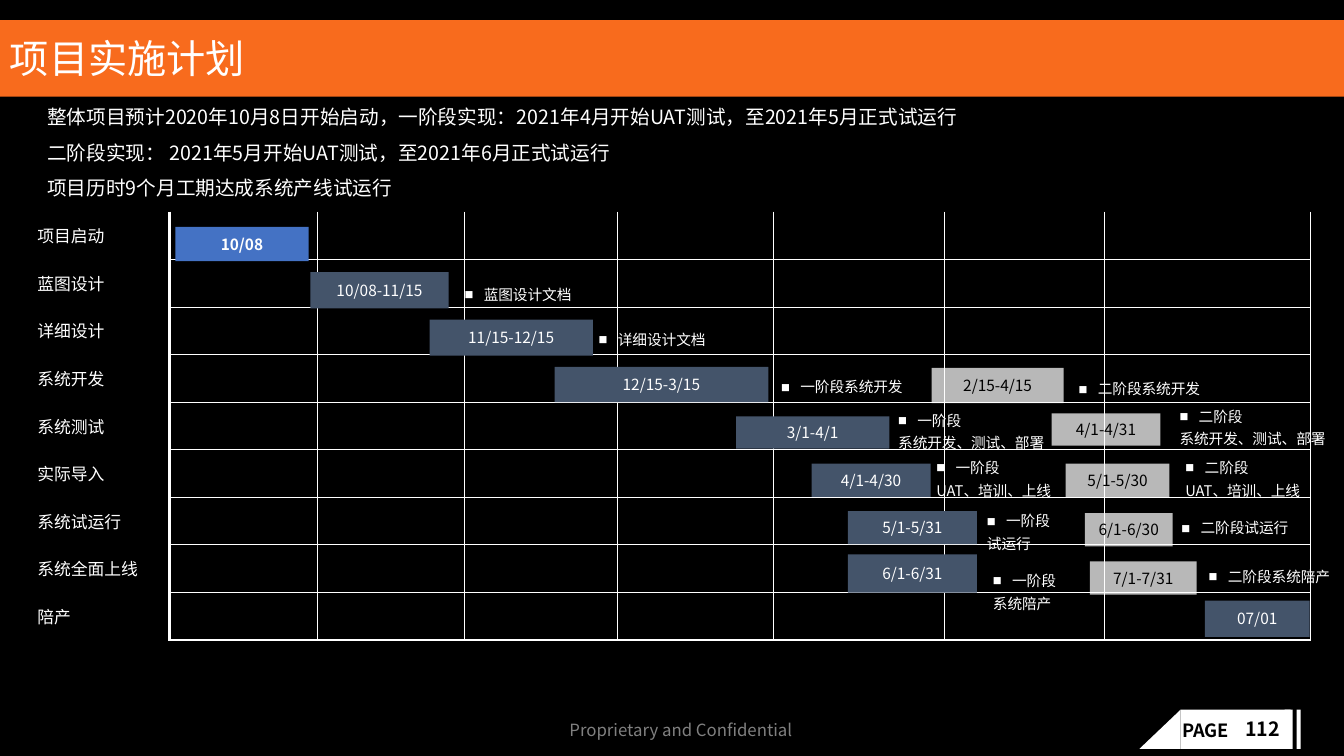
from lxml.etree import SubElement
from pptx import Presentation
from pptx.dml.color import RGBColor
from pptx.enum.shapes import MSO_SHAPE
from pptx.enum.text import MSO_ANCHOR, PP_ALIGN
from pptx.oxml.ns import qn
from pptx.util import Inches, Pt

FONT = "Noto Sans CJK SC"
COLORS = {"black": "000000", "white": "FFFFFF", "orange": "F86B1D",
          "blue": "4472C4", "slate": "44546A", "gray": "808080"}

prs = Presentation()
prs.slide_width, prs.slide_height = Inches(13.33), Inches(7.5)
unit = prs.slide_height // 750
s = prs.slides.add_slide(prs.slide_layouts[6])
s.background.fill.solid()
s.background.fill.fore_color.rgb = RGBColor.from_string(COLORS["black"])


def box(parent, place, fill=None, kind=MSO_SHAPE.RECTANGLE):
    x, y, w, h = (n * unit for n in place)
    if fill is None:
        return parent.add_textbox(x, y, w, h)
    sp = parent.add_shape(kind, x, y, w, h)
    sp.shadow.inherit = False
    sp.fill.solid()
    sp.fill.fore_color.rgb = RGBColor.from_string(COLORS[fill])
    sp.line.fill.background()
    return sp


def write(tf, lines, size, color, bold=False, spacing=1.0, align=PP_ALIGN.LEFT,
          bullet=False, wrap=True):
    tf.word_wrap = wrap
    for i, line in enumerate(lines):
        p = tf.paragraphs[0] if i == 0 else tf.add_paragraph()
        p.alignment, p.line_spacing = align, spacing
        if bullet and i == 0:
            pPr = p._p.get_or_add_pPr()
            pPr.set("marL", str(19 * unit))
            pPr.set("indent", str(-19 * unit))
            SubElement(pPr, qn("a:buFont"), typeface="Arial")
            SubElement(pPr, qn("a:buChar"), char="■")
        r = p.add_run()
        r.text = line
        for name, value in {"size": Pt(size), "bold": bold, "name": FONT}.items():
            setattr(r.font, name, value)
        r.font.color.rgb = RGBColor.from_string(COLORS[color])
        SubElement(r._r.get_or_add_rPr(), qn("a:ea"), typeface=FONT)


badge = s.shapes.add_group_shape().shapes
box(badge, (1171, 704, 109, 39), "white")
slant = box(badge, (1130, 704, 41, 39), "white", MSO_SHAPE.RIGHT_TRIANGLE)
slant._element.spPr.xfrm.set("flipH", "1")
box(badge, (1274, 704, 8, 39), "white")
box(badge, (1286, 704, 4, 39), "white")
write(box(badge, (1163, 709, 73, 32)).text_frame, ["PAGE"], 13, "black", True, wrap=False)
write(box(s.shapes, (1225, 709, 58, 32)).text_frame, ["112"], 14, "black", True, 0.9)
write(box(s.shapes, (555, 709, 256, 30)).text_frame,
      ["Proprietary and Confidential"], 12, "gray", wrap=False)

title = box(s.shapes, (0, 20, 1333, 76), "orange").text_frame
title.vertical_anchor = MSO_ANCHOR.MIDDLE
title.margin_right, title.margin_bottom = 12 * unit, 0
write(title, ["项目实施计划"], 28, "white", spacing=0.9)

phases = ["项目启动", "蓝图设计", "详细设计", "系统开发", "系统测试", "实际导入",
          "系统试运行", "系统全面上线", "陪产"]
widths = [131, 147, 146, 151, 155, 170, 158, 205]
last_row = len(phases) - 1
frame = s.shapes.add_table(len(phases), len(widths), 37 * unit, 210 * unit,
                           sum(widths) * unit, 425 * unit)
tbl = frame.table
tbl.first_row = tbl.horz_banding = False
for column, width in zip(tbl.columns, widths):
    column.width = width * unit
for i, phase in enumerate(phases):
    tbl.rows[i].height = 425 * unit // len(phases)
    for j in range(len(widths)):
        cell = tbl.cell(i, j)
        cell.margin_left = cell.margin_top = cell.margin_bottom = 0
        cell.margin_right = 7 * unit
        cell.vertical_anchor = MSO_ANCHOR.MIDDLE
        if j == 0:
            write(cell.text_frame, [phase], 12, "white")
        borders = {"lnL": 2.25 if j == 1 else 0.5 if j else 0,
                   "lnR": 0.5 if j else 2.25,
                   "lnT": 0.5 if i and j else 0,
                   "lnB": 0 if j == 0 else 2.25 if i == last_row else 0.5}
        tcPr = cell._tc.get_or_add_tcPr()
        for side, weight in borders.items():
            ln = SubElement(tcPr, qn("a:" + side), w=str(Pt(weight)))
            if weight:
                fill = SubElement(ln, qn("a:solidFill"))
                SubElement(fill, qn("a:srgbClr"), val=COLORS["white"])
            else:
                SubElement(ln, qn("a:noFill"))
        cell.fill.background()

write(box(s.shapes, (37, 88, 1333, 116)).text_frame,
      ["整体项目预计2020年10月8日开始启动，一阶段实现：2021年4月开始UAT测试，至2021年5月正式试运行",
       "二阶段实现： 2021年5月开始UAT测试，至2021年6月正式试运行",
       "项目历时9个月工期达成系统产线试运行"], 14, "white", spacing=1.5)

bars = [
    ("10/08", "blue", (174, 225, 132, 34)),
    ("10/08-11/15", "slate", (308, 270, 137, 36)),
    ("11/15-12/15", "slate", (426, 317, 162, 36)),
    ("12/15-3/15", "slate", (550, 364, 212, 35)),
    ("3/1-4/1", "slate", (730, 413, 152, 32)),
    ("4/1-4/30", "slate", (805, 460, 118, 33)),
    ("5/1-5/31", "slate", (841, 507, 128, 33)),
    ("6/1-6/31", "slate", (841, 550, 128, 38)),
    ("07/01", "slate", (1195, 596, 104, 36)),
    ("2/15-4/15", "white", (924, 365, 131, 35)),
    ("4/1-4/31", "white", (1043, 410, 108, 32)),
    ("5/1-5/30", "white", (1057, 460, 103, 33)),
    ("6/1-6/30", "white", (1076, 509, 87, 33)),
    ("7/1-7/31", "white", (1081, 557, 106, 33)),
]
for dates, fill, place in bars:
    sp = box(s.shapes, place, fill)
    if fill == "white":
        clr = sp._element.spPr.find(qn("a:solidFill"))[0]
        SubElement(clr, qn("a:alpha"), val="72000")
    tf = sp.text_frame
    tf.vertical_anchor = MSO_ANCHOR.MIDDLE
    for side in ("left", "top", "right", "bottom"):
        setattr(tf, "margin_" + side, 6 * unit)
    write(tf, [dates], 11, "black" if fill == "white" else "white",
          fill == "blue", align=PP_ALIGN.CENTER)

notes = [
    (451, 273, 128, ["蓝图设计文档"]),
    (584, 318, 270, ["详细设计文档"]),
    (765, 365, 155, ["一阶段系统开发"]),
    (881, 398, 191, ["一阶段", "系统开发、测试、部署"]),
    (919, 445, 186, ["一阶段", "UAT、培训、上线"]),
    (969, 498, 145, ["一阶段", "试运行"]),
    (975, 557, 177, ["一阶段", "系统陪产"]),
    (1060, 367, 155, ["二阶段系统开发"]),
    (1160, 394, 191, ["二阶段", "系统开发、测试、部署"]),
    (1166, 445, 186, ["二阶段", "UAT、培训、上线"]),
    (1162, 505, 134, ["二阶段试运行"]),
    (1189, 553, 147, ["二阶段系统陪产"]),
]
for x, y, w, lines in notes:
    tf = box(s.shapes, (x, y, w, 8 + 23 * len(lines))).text_frame
    write(tf, lines, 10.5, "white", spacing=1.3, bullet=True)

prs.save("out.pptx")
